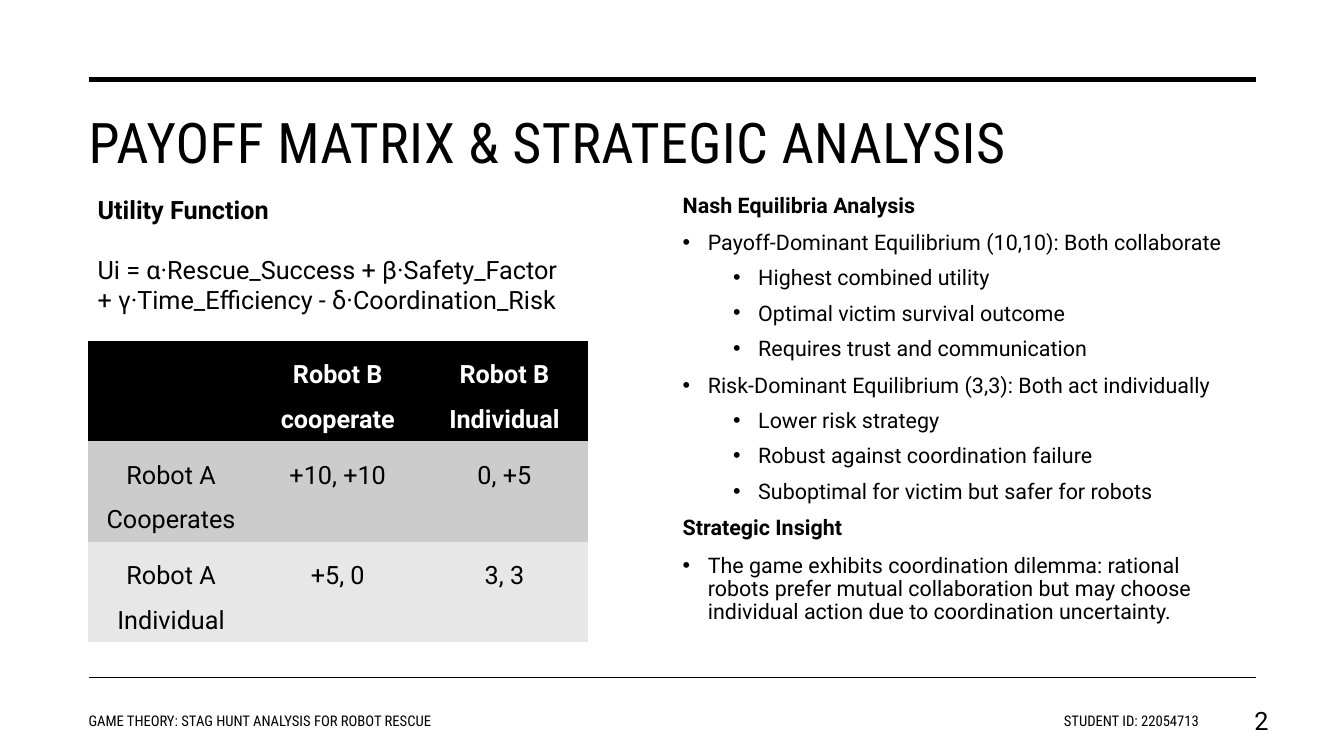
from lxml.etree import SubElement
from pptx import Presentation
from pptx.dml.color import RGBColor
from pptx.enum.shapes import MSO_CONNECTOR
from pptx.enum.text import MSO_ANCHOR, MSO_AUTO_SIZE, PP_ALIGN
from pptx.oxml.ns import qn
from pptx.util import Emu, Pt

COLORS = {"ink": "000000", "paper": "FFFFFF", "row_dark": "CCCCCC", "row_light": "E7E7E7"}
BODY_FONT = "Roboto"
CONDENSED_FONT = "Roboto Condensed"
PLAIN_TABLE_STYLE = "{2D5ABB26-0587-4C30-8999-92F81FD0307C}"

UTILITY_LINES = [
    "Utility Function",
    "Ui = α·Rescue_Success + β·Safety_Factor + γ·Time_Efficiency - δ·Coordination_Risk",
]
PAYOFFS = [
    ["", "Robot B cooperate", "Robot B Individual"],
    ["Robot A Cooperates", "+10, +10", "0, +5"],
    ["Robot A Individual", "+5, 0", "3, 3"],
]
ANALYSIS = [
    ("heading", "Nash Equilibria Analysis"),
    ("point", "Payoff-Dominant Equilibrium (10,10): Both collaborate"),
    ("detail", "Highest combined utility"),
    ("detail", "Optimal victim survival outcome"),
    ("detail", "Requires trust and communication"),
    ("point", "Risk-Dominant Equilibrium (3,3): Both act individually"),
    ("detail", "Lower risk strategy"),
    ("detail", "Robust against coordination failure"),
    ("detail", "Suboptimal for victim but safer for robots"),
    ("heading", "Strategic Insight"),
    ("point", "The game exhibits coordination dilemma: rational robots prefer mutual "
              "collaboration but may choose individual action due to coordination uncertainty."),
]
# kind: (level, left margin in px, line spacing, space before in points)
LIST_STYLES = {
    "heading": (0, 0, 0.9, 10),
    "point": (0, 25, 0.9, 10),
    "detail": (1, 75, 1.1, 5),
}


def px(length):
    """Convert px, at 100 to the inch, into EMU."""
    return Emu(length * 9144)


def place(shape, left, top, width, height):
    shape.left, shape.top = px(left), px(top)
    shape.width, shape.height = px(width), px(height)


def format_runs(paragraph, size, font=BODY_FONT, color="ink", bold=False):
    for run in paragraph.runs:
        run.font.size = Pt(size)
        run.font.name = font
        run.font.bold = bold
        run.font.color.rgb = RGBColor.from_string(COLORS[color])


def set_bullet(paragraph, margin):
    """Give the paragraph a hanging bullet, or none where the margin is zero."""
    properties = paragraph._p.get_or_add_pPr()
    properties.set("marL", str(px(margin)))
    properties.set("indent", str(px(-25 if margin else 0)))
    if margin:
        SubElement(properties, qn("a:buFont")).set("typeface", "Arial")
        SubElement(properties, qn("a:buChar")).set("char", "•")
    else:
        SubElement(properties, qn("a:buNone"))


def add_rule(slide, y, weight):
    rule = slide.shapes.add_connector(MSO_CONNECTOR.STRAIGHT, px(88), px(y), px(1246), px(y))
    rule.line.color.rgb = RGBColor.from_string(COLORS["ink"])
    rule.line.width = Pt(weight)
    SubElement(rule.element.spPr, qn("a:effectLst"))


def fill_title(title, text):
    place(title, 78, 99, 1168, 89)
    frame = title.text_frame
    frame.text = text
    frame.auto_size = MSO_AUTO_SIZE.NONE
    frame.vertical_anchor = MSO_ANCHOR.MIDDLE
    paragraph = frame.paragraphs[0]
    paragraph.alignment = PP_ALIGN.LEFT
    paragraph.line_spacing = 0.95
    format_runs(paragraph, 40, CONDENSED_FONT)
    paragraph.runs[0].font._element.set("spc", "30")


def fill_analysis(body):
    place(body, 667, 188, 579, 449)
    frame = body.text_frame
    frame.text = "\n".join(text for kind, text in ANALYSIS)
    frame.auto_size = MSO_AUTO_SIZE.NONE
    for paragraph, (kind, text) in zip(frame.paragraphs, ANALYSIS):
        level, margin, line_spacing, space_before = LIST_STYLES[kind]
        paragraph.level = level
        paragraph.line_spacing = line_spacing
        paragraph.space_before = Pt(space_before)
        set_bullet(paragraph, margin)
        format_runs(paragraph, 15.3, bold=kind == "heading")


def add_text_box(slide, left, top, width, height, text):
    box = slide.shapes.add_textbox(px(left), px(top), px(width), px(height))
    box.text_frame.word_wrap = True
    box.text_frame.text = text
    return box.text_frame


def add_utility_function(slide):
    frame = add_text_box(slide, 87, 188, 496, 131, "\n".join(UTILITY_LINES))
    heading, formula = frame.paragraphs
    format_runs(heading, 18, bold=True)
    format_runs(formula, 18)
    formula.space_before = Pt(21)


def add_footer(slide, left, width, text, alignment, size=10.5, font=CONDENSED_FONT):
    frame = add_text_box(slide, left, 695, width, 40, text)
    frame.vertical_anchor = MSO_ANCHOR.MIDDLE
    frame.paragraphs[0].alignment = alignment
    format_runs(frame.paragraphs[0], size, font)


def add_payoff_table(slide):
    frame = slide.shapes.add_table(3, 3, px(87), px(338), px(496), px(299))
    table = frame.table
    frame.element.find(".//" + qn("a:tableStyleId")).text = PLAIN_TABLE_STYLE
    fills = ["ink", "row_dark", "row_light"]
    for row_index, (fill, texts) in enumerate(zip(fills, PAYOFFS)):
        is_header = row_index == 0
        for column_index, text in enumerate(texts):
            cell = table.cell(row_index, column_index)
            cell.fill.solid()
            cell.fill.fore_color.rgb = RGBColor.from_string(COLORS[fill])
            cell.text_frame.text = text
            paragraph = cell.text_frame.paragraphs[0]
            paragraph.alignment = PP_ALIGN.CENTER
            paragraph.line_spacing = 1.5
            format_runs(paragraph, 18, color="paper" if is_header else "ink", bold=is_header)


def main():
    presentation = Presentation()
    presentation.slide_width, presentation.slide_height = px(1333), px(750)
    slide = presentation.slides.add_slide(presentation.slide_layouts[1])
    add_rule(slide, 79, 3.5)
    add_rule(slide, 672, 1)
    fill_title(slide.shapes.title, "PAYOFF MATRIX & STRATEGIC ANALYSIS")
    add_payoff_table(slide)
    fill_analysis(slide.placeholders[1])
    add_footer(slide, 78, 496, "GAME THEORY: STAG HUNT ANALYSIS FOR ROBOT RESCUE", PP_ALIGN.LEFT)
    add_footer(slide, 915, 284, "STUDENT ID: 22054713", PP_ALIGN.RIGHT)
    add_footer(slide, 1194, 74, "2", PP_ALIGN.RIGHT, 18, BODY_FONT)
    add_utility_function(slide)
    presentation.save("out.pptx")


if __name__ == "__main__":
    main()
